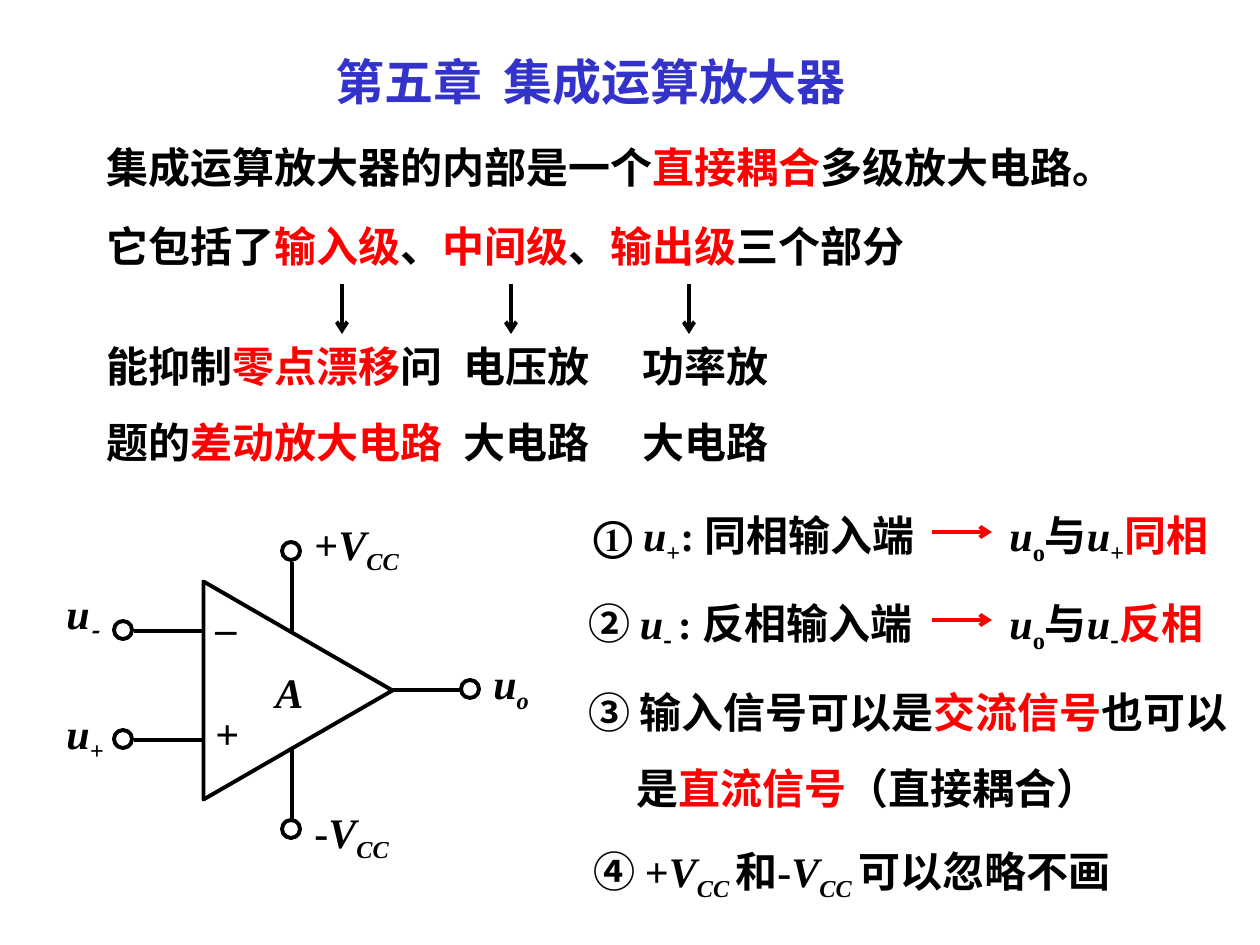
"""Builds the op-amp chapter opening slide."""
from lxml import etree
from pptx import Presentation
from pptx.dml.color import RGBColor
from pptx.enum.shapes import MSO_CONNECTOR, MSO_SHAPE
from pptx.enum.text import MSO_AUTO_SIZE
from pptx.oxml.ns import qn
from pptx.util import Emu, Pt

STRAIGHT = MSO_CONNECTOR.STRAIGHT
TRIANGLE = MSO_SHAPE.ISOSCELES_TRIANGLE
OVAL = MSO_SHAPE.OVAL
FIT_SHAPE = MSO_AUTO_SIZE.SHAPE_TO_FIT_TEXT

COLORS = {"black": "000000", "red": "FF0000", "blue": "3333CC", "white": "FFFFFF"}
SERIF = "Times New Roman"
SANS = "Noto Sans CJK SC"


def px(n):
    """Turn pixels into EMU."""
    return Emu(round(n * 914400 / 126))


def rgb(name):
    """Look up a named colour."""
    return RGBColor.from_string(COLORS[name])


class Deck:
    """Holds the style and the current slide.

    Run flags: r red, b blue, i italic, s subscript, c sans Latin, t serif throughout.
    """

    def __init__(self, prs):
        self.s = prs.slides.add_slide(prs.slide_layouts[6])
        self.line_width = Pt(2.25)
        self.size = 24

    def run(self, p, text, flags="", size=None):
        """Add one styled run."""
        r = p.add_run()
        r.text = text
        f = r.font
        f.size, f.bold, f.italic = Pt(size or self.size), True, "i" in flags
        f.name = SANS if "c" in flags else SERIF
        f.color.rgb = rgb("red" if "r" in flags else "blue" if "b" in flags else "black")
        rPr = r._r.get_or_add_rPr()
        if "s" in flags:
            rPr.set("baseline", "-25000")
        ea = etree.SubElement(rPr, qn("a:ea"))
        ea.set("typeface", SERIF if "t" in flags else SANS)

    def text(self, x, y, w, h, *paras, size=None, indent=0, tab=0):
        """Add a text box; indent applies to paragraphs after the first."""
        tf = self.s.shapes.add_textbox(px(x), px(y), px(w), px(h)).text_frame
        tf.word_wrap, tf.auto_size = True, FIT_SHAPE
        for i, runs in enumerate(paras):
            p = tf.add_paragraph() if i else tf.paragraphs[0]
            pPr = p._p.get_or_add_pPr()
            if i:
                p.space_before = Pt(15)
                pPr.set("marL", str(px(indent)))
                pPr.set("indent", "0")
            if tab:
                stop = etree.SubElement(etree.SubElement(pPr, qn("a:tabLst")), qn("a:tab"))
                stop.set("pos", str(px(tab)))
                stop.set("algn", "l")
            for run in runs:
                self.run(p, *run, size=size)

    def line(self, x1, y1, x2, y2, color="black", arrow=False):
        """Add a straight line, with an open arrowhead at its end if asked."""
        c = self.s.shapes.add_connector(STRAIGHT, px(x1), px(y1), px(x2), px(y2))
        c.line.width = self.line_width
        c.line.color.rgb = rgb(color)
        etree.SubElement(c._element.spPr, qn("a:effectLst"))
        if arrow:
            etree.SubElement(c.line._get_or_add_ln(), qn("a:tailEnd")).set("type", "arrow")

    def shape(self, kind, x, y, w, h, rotation=0):
        """Add a white outlined shape."""
        sp = self.s.shapes.add_shape(kind, px(x), px(y), px(w), px(h))
        sp.shadow.inherit = False
        sp.rotation = rotation
        sp.fill.solid()
        sp.fill.fore_color.rgb = rgb("white")
        sp.line.color.rgb = rgb("black")
        sp.line.width = self.line_width


def add_intro(d):
    """Add the title, the opening lines and the three stages."""
    d.text(323, 45, 732, 72, [("第五章\t集成运算放大器", "bc")], size=28, tab=168)
    d.text(94, 135, 1142, 63, [("集成运算放大器的内部是一个",), ("直接耦合", "r"),
                               ("多级放大电路。",)])
    d.text(94, 214, 833, 63, [("它包括了",), ("输入级", "r"), ("、",), ("中间级", "r"),
                              ("、",), ("输出级", "r"), ("三个部分",)])
    stages = [
        (342, 94, 436, [("能抑制",), ("零点漂移", "r"), ("问",)],
         [("题的",), ("差动放大电路", "r")]),
        (511, 451, 348, [("电压放",)], [("大电路",)]),
        (689, 630, 348, [("功率放",)], [("大电路",)]),
    ]
    for arrow_x, x, w, *paras in stages:
        d.line(arrow_x, 284, arrow_x, 334, arrow=True)
        d.text(x, 334, w, 140, *paras)


def add_notes(d):
    """Add the four numbered remarks."""
    inputs = [
        (581, 503, [("① ", "t"), ("u", "i"), ("+", "s"), (": 同相输入端",)], ("+", "s"), "同相"),
        (576, 591, [("② ", "c"), ("u", "i"), ("- ", "sc"), (": 反相输入端",)], ("-", "sc"), "反相"),
    ]
    for x, y, runs, sign, phase in inputs:
        d.text(x, y, 377, 71, runs)
        d.line(932, y + 29, 992, y + 29, "red", arrow=True)
        d.text(997, y, 258, 71, [("u", "i"), ("o", "s"), ("与",), ("u", "i"), sign, (phase, "r")])
    d.text(576, 680, 714, 140,
           [("③ ", "c"), ("输入信号可以是",), ("交流信号", "r"), ("也可以",)],
           [("是",), ("直流信号", "r"), ("（直接耦合）",)], indent=48)
    d.text(581, 839, 655, 71, [("④ ", "c"), ("+",), ("V", "i"), ("CC ", "is"), ("和-",),
                               ("V", "i"), ("CC ", "is"), ("可以忽略不画",)])


def add_op_amp(d):
    """Add the operational amplifier symbol with its terminals."""
    d.shape(TRIANGLE, 189, 596, 218, 189, rotation=90)
    d.text(263, 660, 179, 63, [("A", "i")])
    for line in [(203, 631, 134, 631), (203, 740, 134, 740), (392, 690, 461, 690),
                 (292, 631, 292, 562), (292, 819, 292, 750)]:
        d.line(*line)
    for x, y in [(114, 621), (114, 730), (461, 680), (282, 542), (282, 820)]:
        d.shape(OVAL, x, y, 18, 18)
    for y, sign, mark, flags in [(581, "-", "_", "isc"), (701, "+", "+", "is")]:
        d.text(54, y, 169, 71, [("u", "i"), (sign, flags)])
        d.text(203, y, 79, 63, [(mark,)])
    d.text(481, 651, 115, 71, [("u", "i"), ("o", "is")])
    for y, sign in [(512, "+"), (800, "-")]:
        d.text(302, y, 169, 71, [(sign,), ("V", "i"), ("CC", "is")])


def main():
    """Build and save the slide."""
    prs = Presentation()
    prs.slide_width, prs.slide_height = px(1260), px(945)
    d = Deck(prs)
    add_intro(d)
    add_notes(d)
    add_op_amp(d)
    prs.save("out.pptx")


if __name__ == "__main__":
    main()
